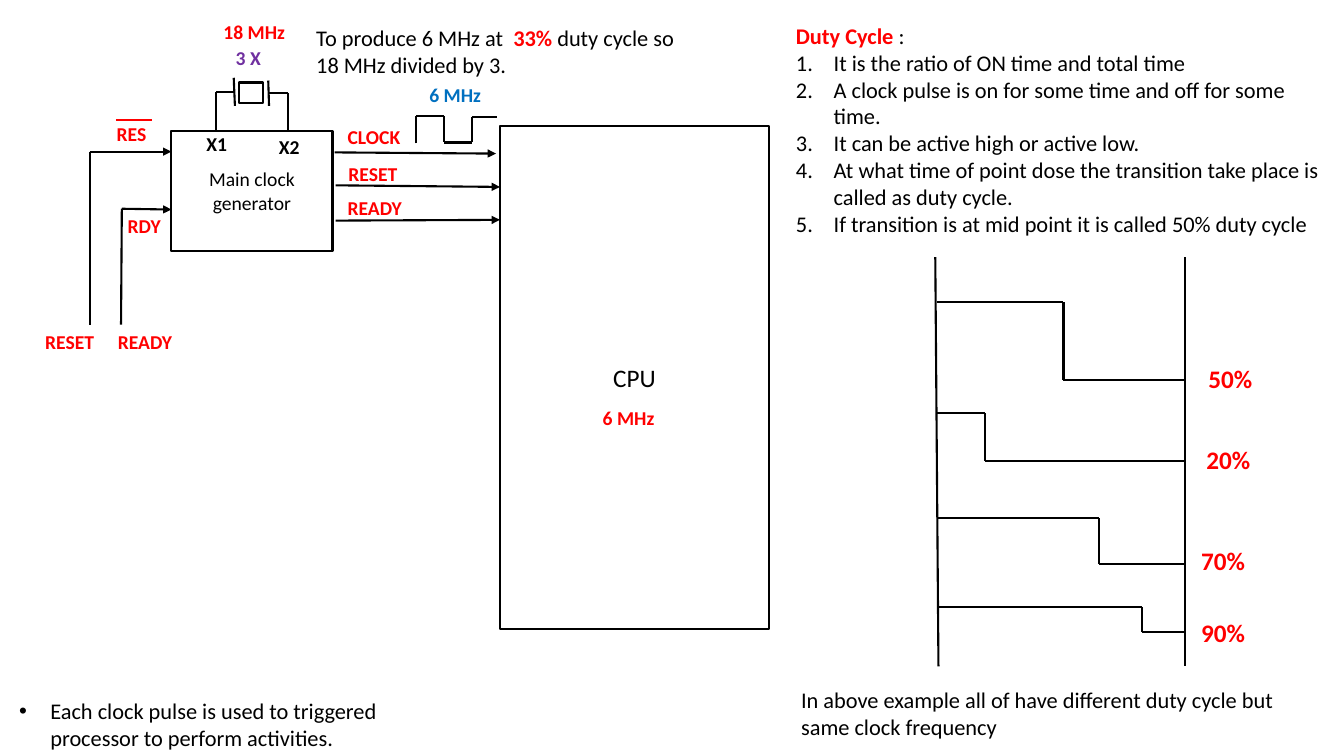
from pptx import Presentation, util as u
from pptx.dml.color import RGBColor
from pptx.enum import shapes, text
from pptx.oxml.ns import qn
from lxml import etree

# Theme
THEME = {
    "font": "Calibri", "line": 1.5,
    "black": "000000", "red": "FF0000", "blue": "0070C0", "purple": "7030A0",
    "label": 14, "body": 16, "large": 18,
}

# Content: all lengths in cm
BOXES = [  # text, size, left, top, width, height
    ("CPU", "large", 12.6, 3.18, 6.78, 12.67),
    ("Main clock generator", "label", 4.32, 3.3, 4.06, 3.02),
    ("", "label", 6.02, 2.08, 0.61, 0.51),
]
LABELS = [  # text, colour, left, top
    ("RES", "red", 2.69, 2.95), ("RDY", "red", 2.97, 5.26),
    ("RESET", "red", 0.89, 8.18), ("READY", "red", 2.72, 8.2),
    ("X1", "black", 4.95, 3.2), ("X2", "black", 6.78, 3.28),
    ("CLOCK", "red", 8.51, 3.02), ("RESET", "red", 8.53, 3.96),
    ("READY", "red", 8.51, 4.8), ("6 MHz", "red", 14.94, 10.11),
    ("3 X", "purple", 5.69, 1.04), ("18 MHz", "red", 5.38, 0.38),
    ("6 MHz", "blue", 10.57, 1.96),
]
LABEL_SIZE = (2.3, 0.86)
WIRES = [  # points along each wire
    [(5.89, 1.96), (5.92, 2.67)],
    [(6.76, 2.03), (6.78, 2.67)],
    [(5.89, 2.32), (5.44, 2.32), (5.44, 3.3)],
    [(6.78, 2.34), (7.26, 2.34), (7.26, 3.3)],
    [(10.49, 3.61), (10.49, 2.92), (11.18, 2.92), (11.18, 3.59),
     (11.89, 3.59), (11.89, 2.95), (12.52, 2.95)],
]
SIGNALS = [  # wires that end in an arrowhead
    [(2.26, 8.18), (2.26, 3.82), (4.32, 3.82)],
    [(3.05, 8.18), (3.07, 5.26), (4.32, 5.28)],
    [(8.43, 3.84), (12.5, 3.87)],
    [(8.46, 4.67), (12.6, 4.71)],
    [(8.46, 5.56), (12.6, 5.54)],
]
OVERLINE = [(2.92, 3.02), (3.84, 3.02)]

AXIS_TOP, AXIS_BOTTOM = 6.48, 16.79
WAVE_LEFT, WAVE_RIGHT = 23.62, 29.87
DUTY_WAVES = [  # label, label left, label top, drop x, high y, low y
    ("50%", 30.2, 9.04, 26.8, 7.62, 9.58),
    ("20%", 30.15, 11.07, 24.83, 10.41, 11.61),
    ("70%", 30.02, 13.61, 27.7, 13.06, 14.22),
    ("90%", 30.02, 15.42, 28.77, 15.29, 15.93),
]
DUTY_POINTS = [
    "It is the ratio of ON time and total time",
    "A clock pulse is on for some time and off for some time.",
    "It can be active high or active low.",
    "At what time of point dose the transition take place is called as duty cycle.",
    "If transition is at mid point it is called 50% duty cycle",
]
# Paragraphs are (list kind, runs); runs are (text, colour, bold)
NOTES = [  # left, top, width, height, paragraphs
    (0.23, 17.45, 10.57, 1.6, [("bullet", [
        ("Each clock pulse is used to triggered processor to perform activities.", "black", False)])]),
    (7.72, 0.48, 10.57, 2.31, [
        (None, [("To produce 6 MHz at  ", "black", False), ("33%", "red", True),
                (" duty cycle so", "black", False)]),
        (None, [("18 MHz divided by 3.", "black", False)])]),
    (19.81, 0.43, 13.84, 6.4,
     [(None, [("Duty Cycle ", "red", True), (":", "black", False)])]
     + [("number", [(point, "black", False)]) for point in DUTY_POINTS]),
    (19.94, 17.17, 13.54, 1.63, [(None, [
        ("In above example all of have different duty cycle but same clock frequency",
         "black", False)])]),
]
LISTS = {  # indent, bullet tag, bullet attributes
    "bullet": (0.79, "a:buChar", {"char": "•"}),
    "number": (0.95, "a:buAutoNum", {"type": "arabicPeriod"}),
}


def colour(name):
    return RGBColor.from_string(THEME[name])


def add_run(p, words, size, shade, bold=False):
    r = p.add_run()
    r.text = words
    formats = {"name": THEME["font"], "size": u.Pt(THEME[size]), "bold": bold}
    for key, value in formats.items():
        setattr(r.font, key, value)
    r.font.color.rgb = colour(shade)


def add_list_mark(p, kind):
    indent, tag, attributes = LISTS[kind]
    ppr = p._p.get_or_add_pPr()
    ppr.set("marL", str(u.Cm(indent)))
    ppr.set("indent", str(-u.Cm(indent)))
    if kind == "bullet":
        etree.SubElement(ppr, qn("a:buFont"), typeface="Arial")
    etree.SubElement(ppr, qn(tag), attributes)


def add_text(s, place, paragraphs, size, wrap=True):
    tf = s.shapes.add_textbox(*map(u.Cm, place)).text_frame
    tf.word_wrap = wrap
    tf.auto_size = text.MSO_AUTO_SIZE.SHAPE_TO_FIT_TEXT
    for i, (kind, runs) in enumerate(paragraphs):
        p = tf.paragraphs[0] if i == 0 else tf.add_paragraph()
        if kind:
            add_list_mark(p, kind)
        for words, shade, bold in runs:
            add_run(p, words, size, shade, bold)


def add_box(s, words, size, *place):
    sp = s.shapes.add_shape(shapes.MSO_SHAPE.RECTANGLE, *map(u.Cm, place))
    sp.shadow.inherit = False
    sp.fill.background()
    sp.line.color.rgb = colour("black")
    sp.line.width = u.Pt(THEME["line"])
    if words:
        tf = sp.text_frame
        tf.word_wrap = True
        tf.vertical_anchor = text.MSO_ANCHOR.MIDDLE
        p = tf.paragraphs[0]
        p.alignment = text.PP_ALIGN.CENTER
        add_run(p, words, size, "black")


def add_wire(s, points, shade="black", arrow=False):
    for start, end in zip(points, points[1:]):
        line = s.shapes.add_connector(
            shapes.MSO_CONNECTOR.STRAIGHT, *map(u.Cm, start + end))
        line.line.color.rgb = colour(shade)
        line.line.width = u.Pt(THEME["line"])
        etree.SubElement(line._element.spPr, qn("a:effectLst"))
    if arrow:
        etree.SubElement(line.line._get_or_add_ln(), qn("a:tailEnd"), type="triangle")


def main():
    prs = Presentation()
    prs.slide_width, prs.slide_height = u.Cm(33.87), u.Cm(19.05)
    s = prs.slides.add_slide(prs.slide_layouts[6])

    # Clock generator and processor
    for box in BOXES:
        add_box(s, *box)
    for wire in WIRES:
        add_wire(s, wire)
    for signal in SIGNALS:
        add_wire(s, signal, arrow=True)
    add_wire(s, OVERLINE, "red")
    for words, shade, left, top in LABELS:
        add_text(s, (left, top, *LABEL_SIZE), [(None, [(words, shade, True)])], "label")

    # Duty cycle waveforms
    add_wire(s, [(23.57, AXIS_TOP), (23.65, AXIS_BOTTOM)])
    add_wire(s, [(WAVE_RIGHT, AXIS_TOP), (WAVE_RIGHT, AXIS_BOTTOM)])
    for words, left, top, drop, high, low in DUTY_WAVES:
        add_wire(s, [(WAVE_LEFT, high), (drop, high), (drop, low), (WAVE_RIGHT, low)])
        add_text(s, (left, top, 1.63, 1.02),
                 [(None, [(words, "red", True)])], "large", wrap=False)

    # Explanations
    for *place, paragraphs in NOTES:
        add_text(s, place, paragraphs, "body")

    prs.save("out.pptx")


if __name__ == "__main__":
    main()
